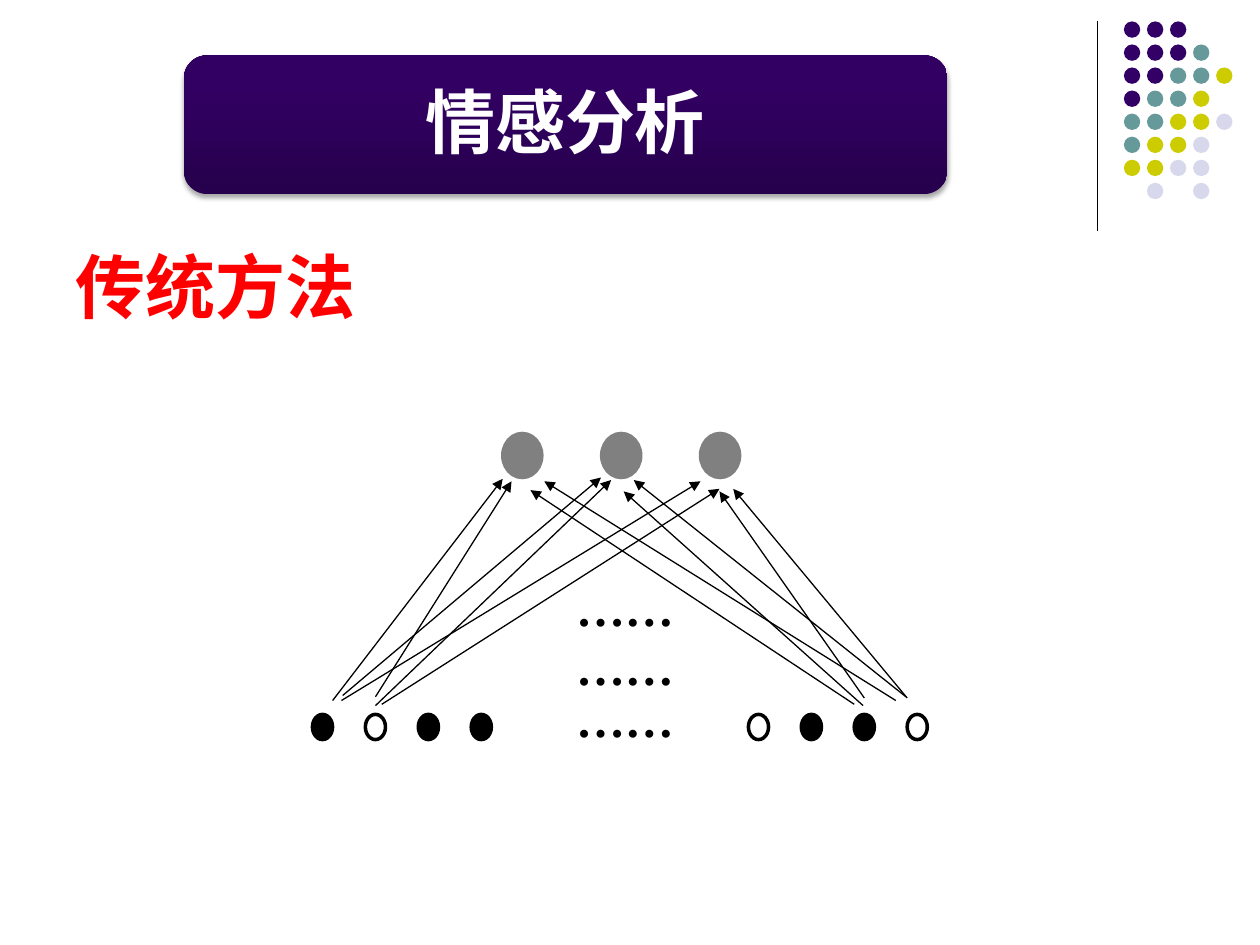
from lxml import etree
from pptx import Presentation
from pptx.dml.color import RGBColor
from pptx.enum.shapes import MSO_CONNECTOR, MSO_SHAPE
from pptx.enum.text import MSO_ANCHOR, PP_ALIGN
from pptx.oxml import parse_xml
from pptx.oxml.ns import nsdecls, qn
from pptx.util import Inches, Pt

PURPLE = RGBColor(0x33, 0x00, 0x66)
TEAL = RGBColor(0x66, 0x99, 0x99)
YELLOW = RGBColor(0xCC, 0xCC, 0x00)
LAVENDER = RGBColor(0xD8, 0xD8, 0xEC)
BANNER_DARK = RGBColor(0x26, 0x00, 0x4C)
BANNER_LIGHT = RGBColor(0x32, 0x00, 0x63)
BLACK = RGBColor(0x00, 0x00, 0x00)
WHITE = RGBColor(0xFF, 0xFF, 0xFF)
GRAY = RGBColor(0x80, 0x80, 0x80)
RED = RGBColor(0xFF, 0x00, 0x00)

FONT = "Times New Roman"
TITLE = "情感分析"
HEADING = "传统方法"
ELLIPSIS = "……"

DOT_COLORS = {"P": PURPLE, "T": TEAL, "Y": YELLOW, "L": LAVENDER}
DOT_ROWS = ["PPP", "PPPT", "PPTTY", "PTTY", "TTYYL", "TYYL", "YYLL", " L L"]
DOT_LEFT, DOT_TOP, DOT_PITCH, DOT_SIZE = 8.92, 0.17, 0.183, 0.13

INPUT_GROUPS = [
    (2.48, [BLACK, WHITE, BLACK, BLACK]),
    (5.94, [WHITE, BLACK, BLACK, WHITE]),
]
INPUT_TOP, INPUT_PITCH = 5.67, 0.42
OUTPUT_LEFT, OUTPUT_TOP, OUTPUT_PITCH, OUTPUT_COUNT = 3.99, 3.44, 0.785, 3

ARROWS = [
    ((2.64, 5.56), (3.99, 3.8)),
    ((2.72, 5.52), (4.77, 3.79)),
    ((2.71, 5.56), (5.56, 3.82)),
    ((2.98, 5.53), (4.06, 3.82)),
    ((2.98, 5.6), (4.85, 3.81)),
    ((3.03, 5.59), (5.71, 3.88)),
    ((7.2, 5.54), (5.82, 3.88)),
    ((7.19, 5.53), (5.03, 3.81)),
    ((7.11, 5.56), (4.32, 3.82)),
    ((6.78, 5.59), (4.21, 3.89)),
    ((6.85, 5.6), (4.95, 3.9)),
    ((6.86, 5.54), (5.71, 3.9)),
]

presentation = Presentation()
presentation.slide_width = Inches(10)
presentation.slide_height = Inches(7.5)
slide = presentation.slides.add_slide(presentation.slide_layouts[6])


def add_text(text, left, top, width, height, size, color,
             align=PP_ALIGN.CENTER, anchor=MSO_ANCHOR.MIDDLE, line_spacing=None):
    box = slide.shapes.add_textbox(Inches(left), Inches(top), Inches(width), Inches(height))
    frame = box.text_frame
    frame.word_wrap = True
    frame.vertical_anchor = anchor
    frame.text = text
    for paragraph in frame.paragraphs:
        paragraph.alignment = align
        paragraph.line_spacing = line_spacing
        paragraph.font.name = FONT
        paragraph.font.size = Pt(size)
        paragraph.font.bold = True
        paragraph.font.color.rgb = color


def add_ellipse(left, top, width, height, fill, line=None):
    shape = slide.shapes.add_shape(
        MSO_SHAPE.OVAL, Inches(left), Inches(top), Inches(width), Inches(height))
    shape.shadow.inherit = False
    shape.fill.solid()
    shape.fill.fore_color.rgb = fill
    if line is None:
        shape.line.fill.background()
    else:
        shape.line.color.rgb = line
        shape.line.width = Pt(2)


def add_line(start, end, arrow=False):
    connector = slide.shapes.add_connector(
        MSO_CONNECTOR.STRAIGHT, *[Inches(value) for value in start + end])
    connector.line.color.rgb = BLACK
    connector.line.width = Pt(0.75)
    if arrow:
        etree.SubElement(connector.line._get_or_add_ln(), qn("a:tailEnd"), type="triangle")
    etree.SubElement(connector._element.spPr, qn("a:effectLst"))


def add_banner(left, top, width, height):
    banner = slide.shapes.add_shape(
        MSO_SHAPE.ROUNDED_RECTANGLE, Inches(left), Inches(top), Inches(width), Inches(height))
    banner.fill.gradient()
    banner.fill.gradient_angle = 90
    dark_stop, light_stop = banner.fill.gradient_stops
    dark_stop.color.rgb, dark_stop.position = BANNER_DARK, 0
    light_stop.color.rgb, light_stop.position = BANNER_LIGHT, 0.8
    banner.line.fill.background()
    banner._element.spPr.append(parse_xml(
        f'<a:effectLst {nsdecls("a")}>'
        f'<a:outerShdw blurRad="{Pt(3.1)}" dist="{Pt(1.8)}" dir="5400000" rotWithShape="0">'
        '<a:srgbClr val="000000"><a:alpha val="35000"/></a:srgbClr>'
        '</a:outerShdw></a:effectLst>'))


add_line((8.71, 0.17), (8.71, 1.83))
for row, codes in enumerate(DOT_ROWS):
    for column, code in enumerate(codes):
        if code in DOT_COLORS:
            add_ellipse(DOT_LEFT + column * DOT_PITCH, DOT_TOP + row * DOT_PITCH,
                        DOT_SIZE, DOT_SIZE, DOT_COLORS[code])

add_text(HEADING, 0.5, 1.88, 9, 0.9, 40, RED, align=PP_ALIGN.LEFT, anchor=MSO_ANCHOR.TOP)
add_banner(1.46, 0.44, 6.06, 1.1)
add_text(TITLE, 1.52, 0.5, 5.93, 0.99, 40, WHITE, line_spacing=0.9)

for group_left, fills in INPUT_GROUPS:
    for index, fill in enumerate(fills):
        add_ellipse(group_left + index * INPUT_PITCH, INPUT_TOP, 0.16, 0.2, fill, BLACK)
add_text(ELLIPSIS, 4.45, 5.6, 1.02, 0.2, 28, BLACK)

for index in range(OUTPUT_COUNT):
    add_ellipse(OUTPUT_LEFT + index * OUTPUT_PITCH, OUTPUT_TOP, 0.31, 0.35, GRAY, GRAY)
for start, end in ARROWS:
    add_line(start, end, arrow=True)
add_text("\n".join([ELLIPSIS] * 2), 4.45, 4.69, 1.02, 0.72, 28, BLACK)

presentation.save("out.pptx")
